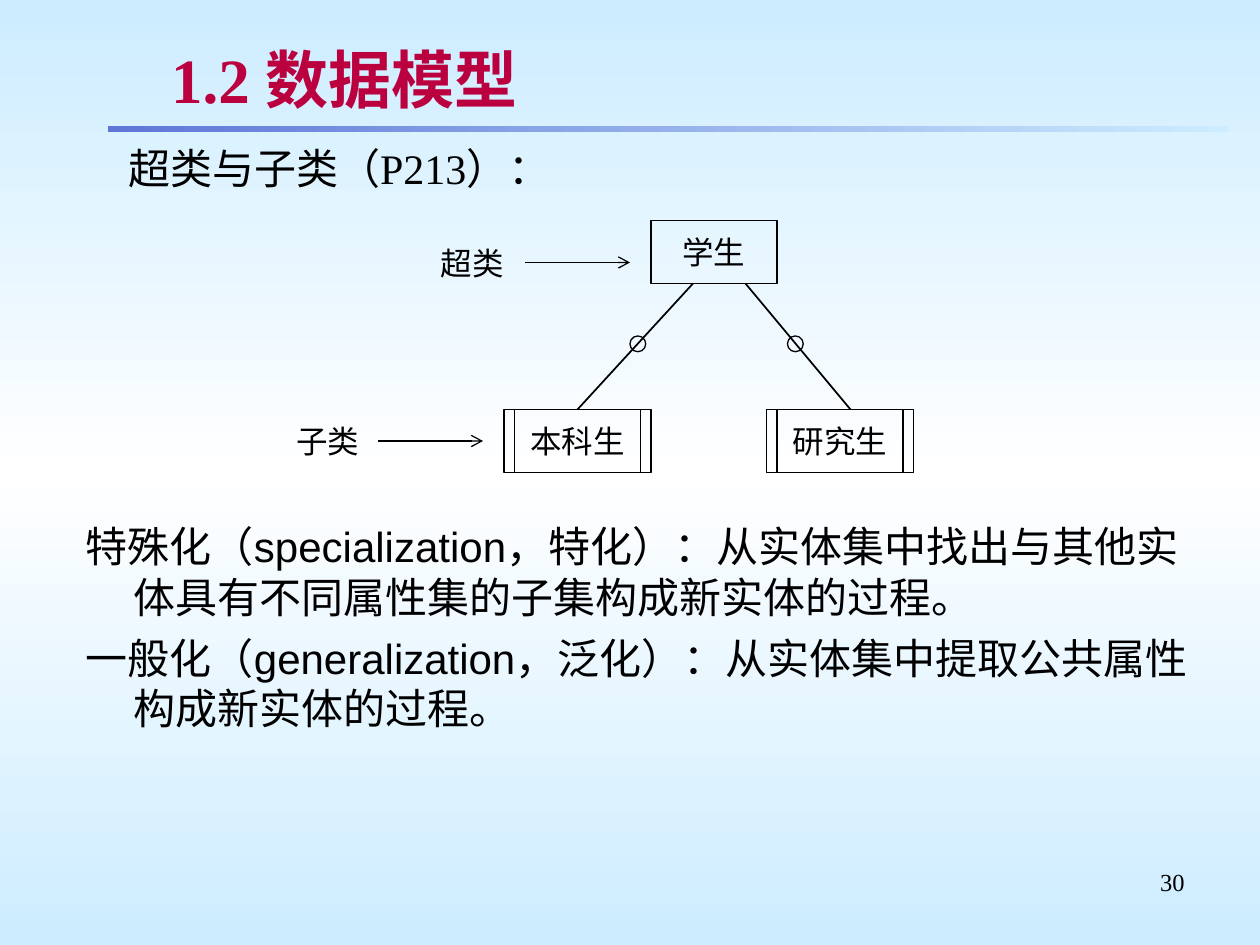
"""Build the slide on superclasses and subclasses in the data model."""
from lxml import etree
from pptx import Presentation
from pptx.dml.color import RGBColor
from pptx.enum.shapes import MSO_CONNECTOR, MSO_SHAPE
from pptx.enum.text import MSO_ANCHOR, MSO_AUTO_SIZE, PP_ALIGN
from pptx.oxml.ns import qn
from pptx.util import Pt

PX = 7620
BLACK = RGBColor(0x00, 0x00, 0x00)
WHITE = RGBColor(0xFF, 0xFF, 0xFF)
CRIMSON = RGBColor(0xBA, 0x00, 0x3E)
SKY = RGBColor(0xCC, 0xEC, 0xFF)
BLUE = RGBColor(0x5F, 0x76, 0xD7)
GREY = RGBColor(0xC0, 0xC0, 0xC0)
SERIF, SANS = "Times New Roman", "Arial"
RECT, ELLIPSE = MSO_SHAPE.RECTANGLE, MSO_SHAPE.OVAL
STRAIGHT = MSO_CONNECTOR.STRAIGHT
TOP, MIDDLE = MSO_ANCHOR.TOP, MSO_ANCHOR.MIDDLE
LEFT, CENTER, RIGHT = PP_ALIGN.LEFT, PP_ALIGN.CENTER, PP_ALIGN.RIGHT
NO_FIT = MSO_AUTO_SIZE.NONE


class Deck:
    """Hold the style and the current slide."""

    def __init__(self, width, height):
        self.prs = Presentation()
        self.prs.slide_width, self.prs.slide_height = width * PX, height * PX
        self.s = self.prs.slides.add_slide(self.prs.slide_layouts[1])

    def gradient(self, owner, fill, colors, angle):
        fill.gradient()
        fill.gradient_angle = angle
        stops = owner.element.find(".//" + qn("a:gsLst"))
        for stop in list(stops):
            stops.remove(stop)
        for i, color in enumerate(colors):
            pos = 100000 * i // (len(colors) - 1)
            gs = etree.SubElement(stops, qn("a:gs"), pos=str(pos))
            etree.SubElement(gs, qn("a:srgbClr"), val=str(color))

    def background(self, *colors):
        self.gradient(self.s, self.s.background.fill, colors, 270)

    def place(self, sp, box):
        sp.left, sp.top, sp.width, sp.height = (v * PX for v in box)

    def set_text(self, sp, lines, size, font, color=BLACK, bold=False, align=LEFT,
                 anchor=TOP, wrap=True, indent=None, before=0, level=0):
        tf = sp.text_frame
        tf.word_wrap, tf.auto_size, tf.vertical_anchor = wrap, NO_FIT, anchor
        for i, line in enumerate(lines):
            p = tf.add_paragraph() if i else tf.paragraphs[0]
            p.alignment, p.level = align, level
            p.space_before = Pt(before if i else 0)
            if indent:
                pPr = p._p.get_or_add_pPr()
                pPr.set("marL", str(indent[0] * PX))
                pPr.set("indent", str(indent[1] * PX))
                etree.SubElement(pPr, qn("a:buNone"))
            r = p.add_run()
            r.text = line
            r.font.size, r.font.name, r.font.bold = Pt(size), font, bold
            r.font.color.rgb = color

    def title(self, box, text):
        sp = self.s.shapes.title
        self.place(sp, box)
        self.set_text(sp, [text], 36, SERIF, CRIMSON, bold=True, anchor=MIDDLE)
        fill = sp.element.find(".//" + qn("a:rPr")).find(qn("a:solidFill"))
        effects = etree.Element(qn("a:effectLst"))
        shadow = etree.SubElement(effects, qn("a:outerShdw"), dist="25400", dir="2700000")
        etree.SubElement(shadow, qn("a:srgbClr"), val=str(GREY))
        fill.addnext(effects)

    def body(self, box, text):
        sp = self.s.placeholders[1]
        self.place(sp, box)
        self.set_text(sp, [text], 24, SERIF, indent=(97, -37), level=1)

    def text(self, box, lines, size, font, **style):
        sp = self.s.shapes.add_textbox(*(v * PX for v in box))
        self.set_text(sp, lines, size, font, **style)

    def label(self, box, text):
        self.text(box, [text], 18, SANS, align=CENTER, anchor=MIDDLE, wrap=False)

    def rule(self, box, *colors):
        sp = self.s.shapes.add_shape(RECT, *(v * PX for v in box))
        sp.shadow.inherit = False
        sp.line.fill.background()
        self.gradient(sp, sp.fill, colors, 0)

    def outline(self, kind, box, weight, text=None):
        sp = self.s.shapes.add_shape(kind, *(v * PX for v in box))
        sp.shadow.inherit = False
        sp.fill.background()
        sp.line.color.rgb, sp.line.width = BLACK, Pt(weight)
        if text:
            self.set_text(sp, [text], 18, SANS, align=CENTER, anchor=MIDDLE, wrap=False)

    def line(self, x1, y1, x2, y2, weight=1, arrow=False):
        cn = self.s.shapes.add_connector(STRAIGHT, *(v * PX for v in (x1, y1, x2, y2)))
        cn.line.color.rgb, cn.line.width = BLACK, Pt(weight)
        spPr = cn.element.find(qn("p:spPr"))
        if arrow:
            etree.SubElement(spPr.find(qn("a:ln")), qn("a:tailEnd"), type="arrow")
        etree.SubElement(spPr, qn("a:effectLst"))

    def subclass(self, x, y, text):
        self.outline(RECT, (x, y, 140, 60), 1, text)
        for bar in (x + 10, x + 130):
            self.line(bar, y, bar, y + 60)


def main():
    deck = Deck(1200, 900)
    deck.background(SKY, WHITE, SKY)
    deck.rule((103, 120, 1067, 6), BLUE, SKY)
    deck.title((151, 35, 989, 80), "1.2 数据模型")
    deck.body((50, 130, 1110, 72), "超类与子类（P213）：")
    deck.text((860, 820, 280, 62), ["30"], 14, SERIF, align=RIGHT)

    deck.outline(RECT, (620, 210, 120, 60), 1, "学生")
    for name, x, start, end, ring in (("本科生", 480, 660, 550, 600),
                                      ("研究生", 730, 710, 810, 750)):
        deck.subclass(x, 390, name)
        deck.line(start, 270, end, 390)
        deck.outline(ELLIPSE, (ring, 320, 15, 15), 0.75)
    for name, x, y, start, mid in (("超类", 390, 220, 500, 250),
                                   ("子类", 252, 390, 360, 420)):
        deck.label((x, y, 120, 60), name)
        deck.line(start, mid, start + 100, mid, 0.75, arrow=True)

    deck.text((70, 490, 1100, 280), [
        "特殊化（specialization，特化）：从实体集中找出与其他实体具有不同属性集的子集构成新实体的过程。",
        "一般化（generalization，泛化）：从实体集中提取公共属性构成新实体的过程。",
    ], 24, SANS, indent=(45, -45), before=6)
    deck.prs.save("out.pptx")


if __name__ == "__main__":
    main()
